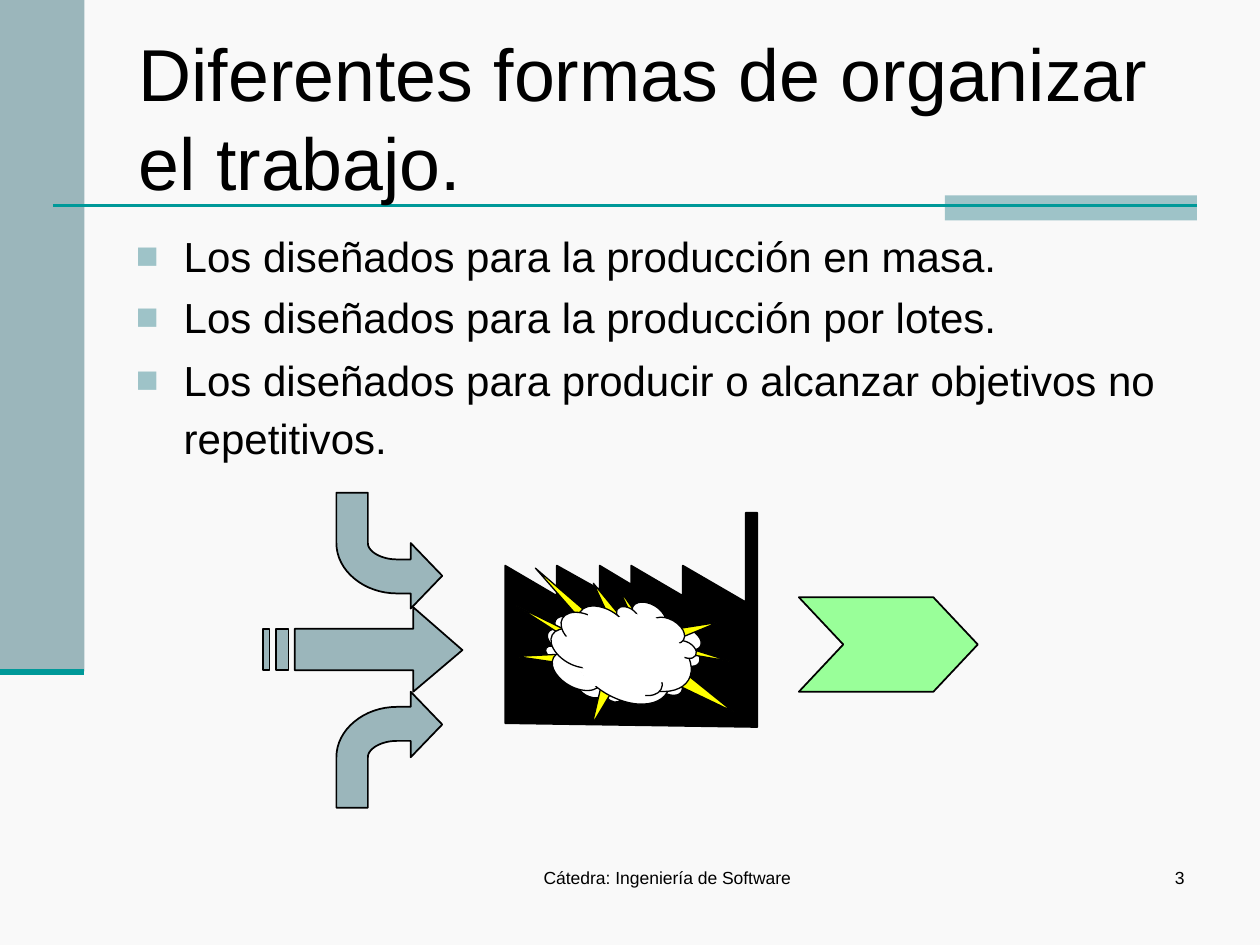
from lxml import etree
from pptx import Presentation
from pptx.dml.color import RGBColor
from pptx.enum import shapes, text
from pptx.oxml.ns import qn
from pptx.util import Inches, Pt

HUE = {"back": "F9F9F9", "side": "9BB6BB", "tab": "9EC3C8", "rule": "009999",
       "ink": "000000", "paper": "FFFFFF", "flash": "FFFF00", "out": "99FF99"}
FONT = "Arial"
TITLE = "Diferentes formas de organizar el trabajo."
# text, space before (pt), line spacing
ITEMS = [("Los diseñados para la producción en masa.", 0, 1),
         ("Los diseñados para la producción por lotes.", 6, 1),
         ("Los diseñados para producir o alcanzar objetivos no repetitivos.", 3, 1.15)]
FOOT = [("Cátedra: Ingeniería de Software", (3.67, 6.83, 3.25, 0.5), "CENTER"),
        ("3", (7.42, 6.83, 2.08, 0.5), "RIGHT")]

PLANT = [(4.01, 5.74), (4.01, 4.49), (4.42, 4.73), (4.42, 4.49), (4.76, 4.68),
         (4.76, 4.49), (5.01, 4.64), (5.01, 4.49), (5.42, 4.73), (5.42, 4.49),
         (5.92, 4.78), (5.92, 4.07), (6.01, 4.07), (6.01, 5.77)]
ARROW = [(3.28, 4.82), (3.28, 4.99), (2.34, 4.99), (2.34, 5.32),
         (3.28, 5.32), (3.28, 5.49), (3.67, 5.16)]
BARS = [(2.19, 2.29), (2.09, 2.14)]
MID = 5.16  # axis on which the two bent arrows mirror
BURST = [(4.52, 5.08), (4.1, 4.81), (4.61, 5.06), (4.61, 4.92), (4.25, 4.51),
         (4.75, 4.94), (4.84, 4.91), (4.71, 4.63), (4.94, 4.91), (5, 4.86),
         (4.91, 4.67), (5.05, 4.87), (5.38, 4.99), (5.7, 4.94), (5.36, 5.08),
         (5.48, 5.15), (5.8, 5.25), (5.39, 5.18), (5.46, 5.36), (5.82, 5.65),
         (5.34, 5.42), (4.85, 5.5), (4.7, 5.75), (4.77, 5.45), (4.43, 5.26),
         (4.09, 5.21), (4.51, 5.19)]
PATCH = [(4.58, 5.29), (4.7, 5.46), (4.74, 5.44), (4.6, 5.29)]
CLOUD = [(4.47, 5.06), (4.63, 5.01), (4.67, 4.87), (4.91, 4.9), (4.94, 4.89),
         (5.03, 4.87), (5.09, 4.88), (5.2, 4.9), (5.23, 4.92), (5.44, 5.16),
         (5.43, 5.24), (5.29, 5.42), (5.24, 5.41), (5.12, 5.51), (5.12, 5.55),
         (4.66, 5.35)]
# puff sizes, and puffs as left, top, size
SIZE = {"xs": (0.09, 0.14), "s": (0.12, 0.19), "m": (0.15, 0.24),
        "l": (0.18, 0.29), "xl": (0.26, 0.43), "big": (0.5, 0.82)}
REAR = [(5.23, 5.31, "m"), (4.44, 4.86, "m"), (4.35, 5.11, "xs"), (4.82, 5.45, "xs"),
        (4.61, 5.33, "m"), (4.38, 4.96, "m"), (5.38, 4.95, "m"), (5.37, 5.08, "m")]
CORE = [(4.45, 5.11, "xl"), (4.69, 4.88, "big")]
FRONT = [(4.86, 4.78, "big"), (5.06, 4.74, "l"), (5.38, 5.06, "s"), (4.92, 4.79, "s"),
         (5.21, 4.86, "l"), (4.44, 4.93, "xl"), (4.66, 4.75, "xl"), (4.52, 4.8, "xl"),
         (4.93, 5.15, "xl")]

deck = Presentation()
deck.slide_width, deck.slide_height = Inches(10), Inches(7.5)
slide = deck.slides.add_slide(deck.slide_layouts[5])
tree = slide.shapes


def rgb(name):
    return RGBColor.from_string(HUE[name])


def paint(shape, fill, width):
    shape.shadow.inherit = False
    shape.fill.solid()
    shape.fill.fore_color.rgb = rgb(fill)
    if width:
        shape.line.color.rgb = rgb("ink")
        shape.line.width = Pt(width)
    else:
        shape.line.fill.background()
    return shape


def preset(kind, box, fill, width=0):
    return paint(tree.add_shape(kind, *map(Inches, box)), fill, width)


def free(paths, fill, width=0):
    """Draw closed outlines, given in inches, as one shape."""
    paths = [[(Inches(x), Inches(y)) for x, y in path] for path in paths]
    pen = tree.build_freeform(*paths[0][0])
    for i, path in enumerate(paths):
        if i:
            pen.move_to(*path[0])
        pen.add_line_segments(path[1:], close=True)
    return paint(pen.convert_to_shape(), fill, width)


def rule(x, y, end, width):
    line = tree.add_connector(shapes.MSO_CONNECTOR.STRAIGHT,
                              *map(Inches, (x, y, end, y)))
    line.line.color.rgb = rgb("rule")
    line.line.width = Pt(width)
    etree.SubElement(line._element.spPr, qn("a:effectLst"))


def curve(a, b, c, d, n=16):
    """Points along a cubic curve, without its start."""
    return [tuple((1 - t) ** 3 * p + 3 * t * (1 - t) ** 2 * q
                  + 3 * t * t * (1 - t) * r + t ** 3 * s
                  for p, q, r, s in zip(a, b, c, d))
            for t in (i / n for i in range(1, n + 1))]


def puffs(rows):
    for x, y, size in rows:
        preset(shapes.MSO_SHAPE.OVAL, (x, y, *SIZE[size]), "paper", 0.75).rotation = 300


def bullet(par):
    prop = par._p.get_or_add_pPr()
    prop.set("marL", str(Inches(0.38)))
    prop.set("indent", str(-Inches(0.38)))
    color = etree.SubElement(prop, qn("a:buClr"))
    etree.SubElement(color, qn("a:srgbClr"), val=HUE["tab"])
    etree.SubElement(prop, qn("a:buSzPct"), val="90000")
    etree.SubElement(prop, qn("a:buFont"), typeface=FONT)
    etree.SubElement(prop, qn("a:buChar"), char="■")


def write(rows, box, size, align="LEFT", anchor="TOP", mark=False, shape=None):
    """Fill a box with rows of (text, space before, line spacing)."""
    shape = shape or tree.add_textbox(0, 0, 0, 0)
    shape.left, shape.top, shape.width, shape.height = map(Inches, box)
    frame = shape.text_frame
    frame.word_wrap = True
    frame.auto_size = text.MSO_AUTO_SIZE.NONE
    frame.vertical_anchor = text.MSO_ANCHOR[anchor]
    for i, (words, before, lead) in enumerate(rows):
        par = frame.add_paragraph() if i else frame.paragraphs[0]
        if mark:
            bullet(par)
        par.alignment = text.PP_ALIGN[align]
        par.line_spacing = float(lead)
        if before:
            par.space_before = Pt(before)
        run = par.add_run()
        run.text = words
        run.font.name, run.font.size = FONT, Pt(size)
        run.font.color.rgb = rgb("ink")


slide.background.fill.solid()
slide.background.fill.fore_color.rgb = rgb("back")
preset(shapes.MSO_SHAPE.RECTANGLE, (0, 0, 0.67, 5.33), "side")
preset(shapes.MSO_SHAPE.RECTANGLE, (7.5, 1.55, 2, 0.2), "tab")
rule(0.42, 1.63, 9.5, 1.5)
rule(0, 5.33, 0.67, 3.5)

for words, box, align in FOOT:
    write([(words, 0, 1)], box, 10, align=align)
title = tree.title
tree._spTree.append(title._element)  # title text lies over the rule
write([(TITLE, 0, 1)], (1, 0.3, 8.5, 1.25), 42, anchor="MIDDLE", shape=title)
write(ITEMS, (0.98, 1.78, 8.75, 2.58), 24, mark=True)

free([PLANT], "ink", 1)
free([ARROW] + [[(a, 4.99), (a, 5.32), (b, 5.32), (b, 4.99)] for a, b in BARS],
     "side", 1)
chevron = preset(shapes.MSO_SHAPE.CHEVRON, (6.34, 4.74, 1.42, 0.75), "out", 1)
chevron.adjustments[0] = 0.47

bend = ([(3.51, 5.75), (3.26, 5.49), (3.26, 5.61), (3.15, 5.61)]
        + curve((3.15, 5.61), (2.89, 5.61), (2.67, 5.79), (2.67, 6.01))
        + [(2.67, 6.41), (2.92, 6.41), (2.92, 6.01)]
        + curve((2.92, 6.01), (2.92, 5.94), (3.03, 5.88), (3.15, 5.88))
        + [(3.26, 5.88), (3.26, 6.01)])
free([bend], "side", 1)
free([[(x, 2 * MID - y) for x, y in bend]], "side", 1)

puffs(REAR)
free([BURST], "flash", 0.75)
puffs(CORE)
free([PATCH], "paper")
puffs(FRONT)
free([CLOUD], "paper")

deck.save("out.pptx")
